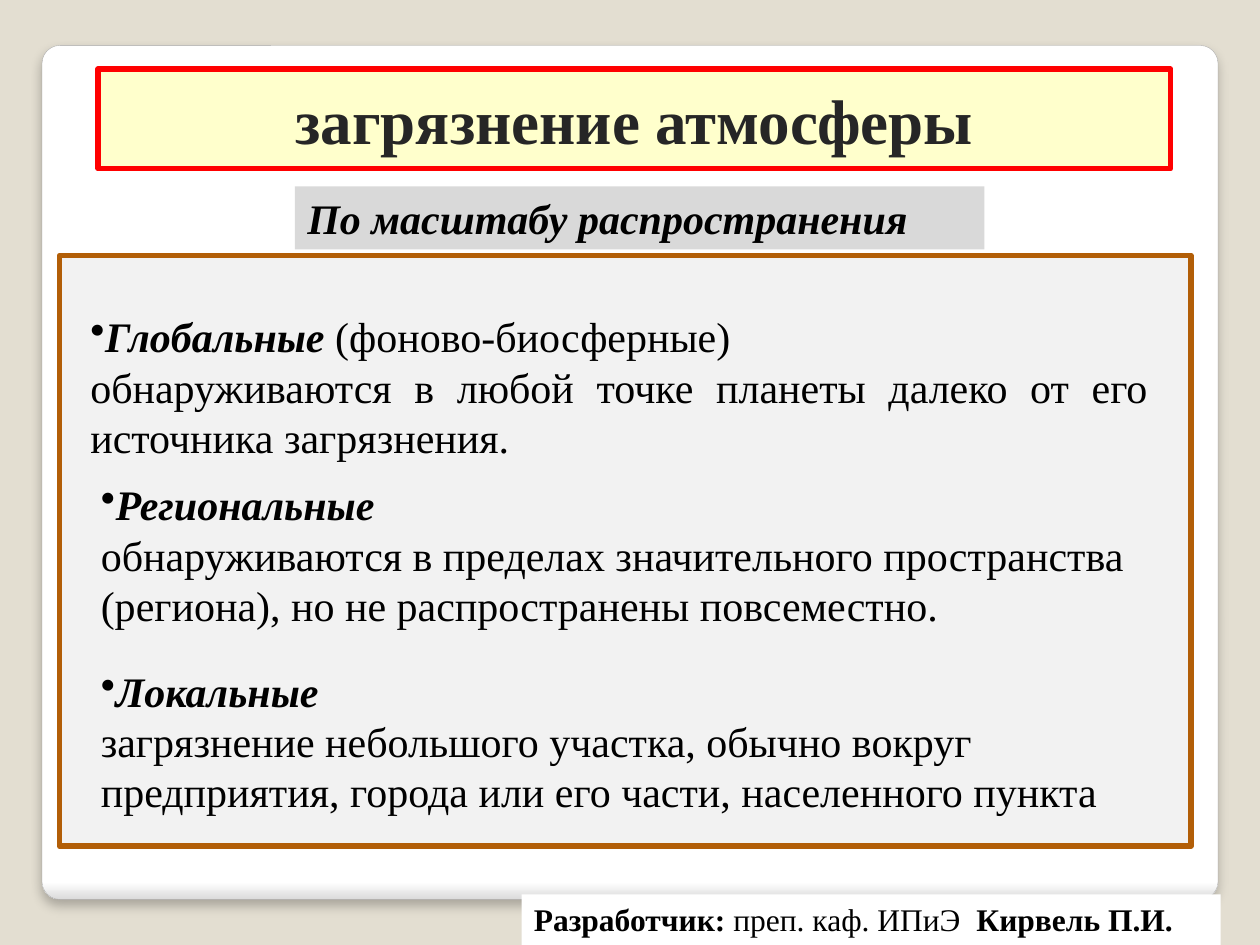
from lxml.etree import SubElement
from pptx import Presentation
from pptx.dml.color import RGBColor
from pptx.enum.shapes import MSO_SHAPE as Shape
from pptx.enum.text import MSO_ANCHOR as Anchor, PP_ALIGN as Align
from pptx.oxml.ns import qn
from pptx.util import Pt

BEIGE = RGBColor(0xE3, 0xDE, 0xD1)
WHITE = RGBColor(0xFF, 0xFF, 0xFF)
EDGE_GREY = RGBColor(0xDA, 0xDA, 0xDA)
LINE_GREY = RGBColor(0xA4, 0xA4, 0xA4)
PANEL_GREY = RGBColor(0xF2, 0xF2, 0xF2)
LABEL_GREY = RGBColor(0xD9, 0xD9, 0xD9)
BROWN = RGBColor(0xB2, 0x5E, 0x07)
CREAM = RGBColor(0xFF, 0xFF, 0xCC)
RED = RGBColor(0xFF, 0x00, 0x00)
DARK = RGBColor(0x26, 0x26, 0x26)
BLACK = RGBColor(0x00, 0x00, 0x00)

FONT = "Times New Roman"
BOLD = {"bold": True}
BOLD_ITALIC = {"bold": True, "italic": True}
PLAIN = {}

# left, top, alignment, term, remark after the term, explanation
SCALES = [
    (44.5, 174, Align.JUSTIFY, "Глобальные", " (фоново-биосферные)",
     "обнаруживаются в любой точке планеты далеко от его источника загрязнения."),
    (50.5, 270, Align.LEFT, "Региональные", "",
     "обнаруживаются в пределах значительного пространства (региона), "
     "но не распространены повсеместно."),
    (50.5, 376.5, Align.LEFT, "Локальные", "",
     "загрязнение небольшого участка, обычно вокруг предприятия, города "
     "или его части, населенного пункта"),
]


def add_box(slide, box, fill, line=None, width=0, kind=Shape.RECTANGLE):
    shape = slide.shapes.add_shape(kind, *map(Pt, box))
    shape.shadow.inherit = False
    shape.fill.solid()
    shape.fill.fore_color.rgb = fill
    if line is None:
        shape.line.fill.background()
    else:
        shape.line.color.rgb = line
        shape.line.width = Pt(width)
    return shape


def add_card(slide):
    """Rounded white sheet, grey at its lower edge, with a soft shadow."""
    card = add_box(slide, (24, 26, 672, 488), WHITE, LINE_GREY, 0.16,
                   Shape.ROUNDED_RECTANGLE)
    card.adjustments[0] = 0.021
    card.fill.gradient()
    card.fill.gradient_angle = 270
    stops = card.fill.gradient_stops
    for stop, position, color in zip(stops, (0.98, 1), (WHITE, EDGE_GREY)):
        stop.position = position
        stop.color.rgb = color
    effects = card._element.spPr.find(qn("a:effectLst"))
    shadow = SubElement(effects, qn("a:outerShdw"), blurRad=str(Pt(6)),
                        dist=str(Pt(4)), dir="5400000", rotWithShape="0")
    black = SubElement(shadow, qn("a:srgbClr"), val="000000")
    SubElement(black, qn("a:alpha"), val="25000")


def add_runs(paragraph, runs, size, align=Align.LEFT, color=BLACK):
    paragraph.alignment = align
    for text, style in runs:
        run = paragraph.add_run()
        run.text = text
        run.font.color.rgb = color
        values = {"name": FONT, "size": Pt(size), "bold": False, "italic": False}
        for name, value in {**values, **style}.items():
            setattr(run.font, name, value)


def write_line(shape, runs, size, anchor=Anchor.TOP, **options):
    frame = shape.text_frame
    frame.word_wrap = True
    frame.vertical_anchor = anchor
    add_runs(frame.paragraphs[0], runs, size, **options)


def add_bullet(paragraph):
    SubElement(paragraph._p.get_or_add_pPr(), qn("a:buChar"), char="•")


def add_scale(slide, left, top, align, term, remark, explanation):
    """A bulleted term with its explanation below."""
    text_box = slide.shapes.add_textbox(Pt(left), Pt(top), Pt(618.5), Pt(94.5))
    runs = [(term, BOLD_ITALIC)]
    if remark:
        runs.append((remark, PLAIN))
    write_line(text_box, runs, 24, align=align)
    frame = text_box.text_frame
    add_bullet(frame.paragraphs[0])
    add_runs(frame.add_paragraph(), [(explanation, PLAIN)], 24, align)


def main():
    presentation = Presentation()
    presentation.slide_width, presentation.slide_height = Pt(720), Pt(540)
    slide = presentation.slides.add_slide(presentation.slide_layouts[6])
    slide.background.fill.solid()
    slide.background.fill.fore_color.rgb = BEIGE

    add_card(slide)
    add_box(slide, (34, 146, 646.5, 337.5), PANEL_GREY, BROWN, 3.35)
    title = add_box(slide, (56, 39.5, 613, 57), CREAM, RED, 3)
    write_line(title, [("загрязнение атмосферы", BOLD)], 36, Anchor.MIDDLE,
               align=Align.CENTER, color=DARK)
    credit = add_box(slide, (298, 511, 399.5, 29), WHITE)
    write_line(credit, [("Разработчик: ", BOLD), ("преп. каф. ИПиЭ  ", PLAIN),
                        ("Кирвель П.И.", BOLD)], 18)
    subtitle = add_box(slide, (168.5, 106.5, 394, 36), LABEL_GREY)
    write_line(subtitle, [("По масштабу распространения", BOLD_ITALIC)], 24)
    for scale in SCALES:
        add_scale(slide, *scale)

    presentation.save("out.pptx")


if __name__ == "__main__":
    main()
